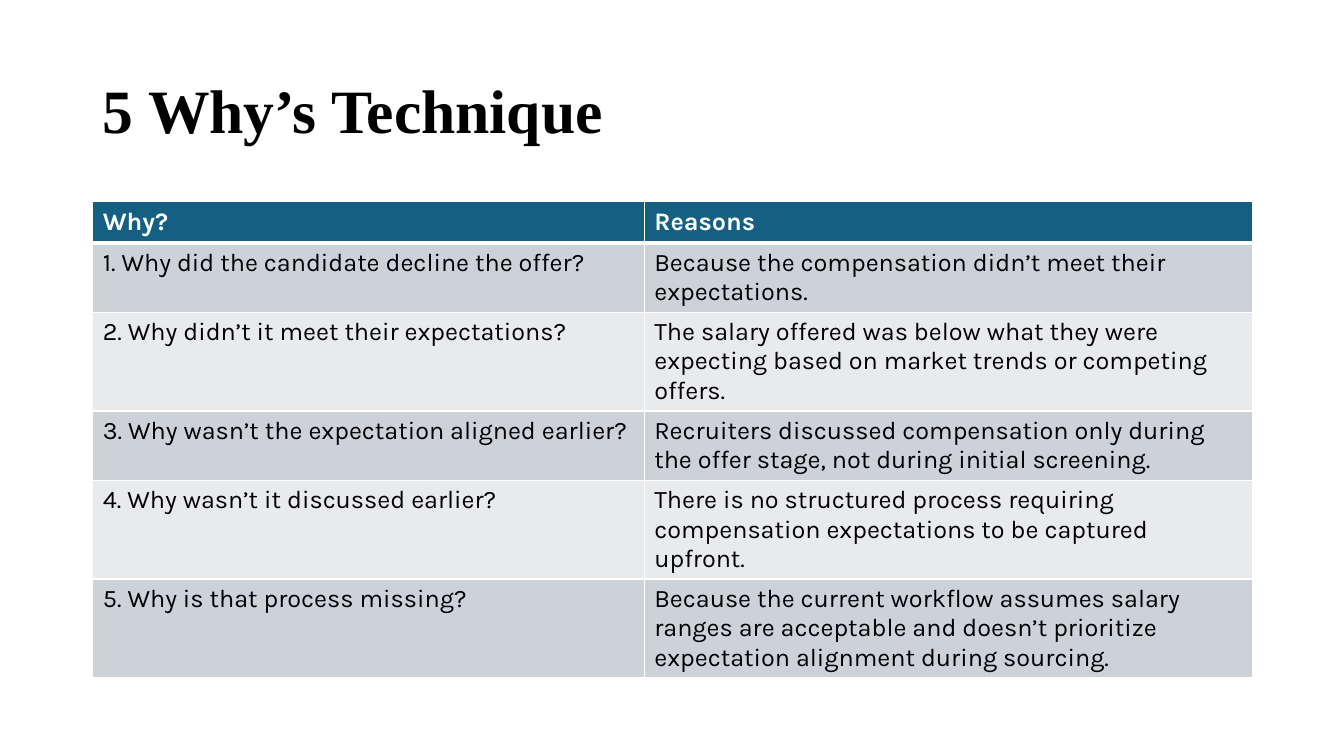
from dataclasses import dataclass

from lxml import etree
from pptx import Presentation
from pptx.dml.color import RGBColor
from pptx.enum.text import MSO_ANCHOR, MSO_AUTO_SIZE, PP_ALIGN
from pptx.oxml.ns import qn
from pptx.slide import Slide
from pptx.table import _Cell
from pptx.text.text import _Paragraph
from pptx.util import Inches, Pt

MIDDLE = MSO_ANCHOR.MIDDLE
TOP = MSO_ANCHOR.TOP
LEFT = PP_ALIGN.LEFT
NO_AUTOFIT = MSO_AUTO_SIZE.NONE

COLORS = {
    "header": "156082",
    "odd_band": "CCD2D8",
    "even_band": "E8EAED",
    "border": "FFFFFF",
    "header_text": "FFFFFF",
    "text": "000000",
}
TITLE_FONT = "Times New Roman"
TABLE_FONT = "Karla"
COLUMN_WIDTHS = (5.47, 6.03)
MARGIN_LEFT = 0.92
CONTENT_WIDTH = sum(COLUMN_WIDTHS)
TABLE_TOP = 2.0
THIN_BORDER = 1
THICK_BORDER = 3


@dataclass(frozen=True)
class WhyRow:
    question: str
    reason: str
    height: float


ROWS = (
    WhyRow("Why?", "Reasons", 0.41),
    WhyRow(
        "1. Why did the candidate decline the offer?",
        "Because the compensation didn’t meet their expectations.",
        0.68,
    ),
    WhyRow(
        "2. Why didn’t it meet their expectations?",
        "The salary offered was below what they were expecting based on "
        "market trends or competing offers.",
        0.98,
    ),
    WhyRow(
        "3. Why wasn’t the expectation aligned earlier?",
        "Recruiters discussed compensation only during the offer stage, "
        "not during initial screening.",
        0.68,
    ),
    WhyRow(
        "4. Why wasn’t it discussed earlier?",
        "There is no structured process requiring compensation expectations "
        "to be captured upfront.",
        0.98,
    ),
    WhyRow(
        "5. Why is that process missing?",
        "Because the current workflow assumes salary ranges are acceptable "
        "and doesn’t prioritize expectation alignment during sourcing.",
        0.98,
    ),
)


def add_span(para: _Paragraph, text: str, font: str, size: int, color: str, bold: bool) -> None:
    span = para.add_run()
    span.text = text
    span.font.name = font
    span.font.size = Pt(size)
    span.font.bold = bold
    span.font.color.rgb = RGBColor.from_string(COLORS[color])


def add_borders(cell: _Cell, top: int, bottom: int) -> None:
    properties = cell._tc.get_or_add_tcPr()
    widths = {"lnL": THIN_BORDER, "lnR": THIN_BORDER, "lnT": top, "lnB": bottom}
    for side, width in widths.items():
        line = etree.SubElement(properties, qn(f"a:{side}"), w=str(Pt(width)))
        fill = etree.SubElement(line, qn("a:solidFill"))
        etree.SubElement(fill, qn("a:srgbClr"), val=COLORS["border"])


def fill_cell(cell: _Cell, text: str, row_index: int) -> None:
    is_header = row_index == 0
    add_borders(
        cell,
        top=THICK_BORDER if row_index == 1 else THIN_BORDER,
        bottom=THICK_BORDER if is_header else THIN_BORDER,
    )
    band = "header" if is_header else "odd_band" if row_index % 2 else "even_band"
    cell.fill.solid()
    cell.fill.fore_color.rgb = RGBColor.from_string(COLORS[band])
    cell.vertical_anchor = MIDDLE if is_header else TOP
    color = "header_text" if is_header else "text"
    add_span(cell.text_frame.paragraphs[0], text, TABLE_FONT, 18, color, is_header)


def add_why_table(page: Slide) -> None:
    table = page.shapes.add_table(
        len(ROWS),
        len(COLUMN_WIDTHS),
        Inches(MARGIN_LEFT),
        Inches(TABLE_TOP),
        Inches(CONTENT_WIDTH),
        Inches(sum(row.height for row in ROWS)),
    ).table
    for column, width in zip(table.columns, COLUMN_WIDTHS):
        column.width = Inches(width)
    for row_index, row in enumerate(ROWS):
        table.rows[row_index].height = Inches(row.height)
        for column_index, text in enumerate((row.question, row.reason)):
            fill_cell(table.cell(row_index, column_index), text, row_index)


def format_title(page: Slide, text: str) -> None:
    title = page.shapes.title
    title.left, title.top = Inches(MARGIN_LEFT), Inches(0.4)
    title.width, title.height = Inches(CONTENT_WIDTH), Inches(1.45)
    frame = title.text_frame
    frame.word_wrap = True
    frame.auto_size = NO_AUTOFIT
    frame.vertical_anchor = MIDDLE
    para = frame.paragraphs[0]
    para.alignment = LEFT
    para.line_spacing = 0.9
    add_span(para, text, TITLE_FONT, 44, "text", True)


def main() -> None:
    deck = Presentation()
    deck.slide_width, deck.slide_height = Inches(13.33), Inches(7.5)
    page = deck.slides.add_slide(deck.slide_layouts.get_by_name("Title Only"))
    format_title(page, "5 Why’s Technique")
    add_why_table(page)
    deck.save("out.pptx")


if __name__ == "__main__":
    main()
